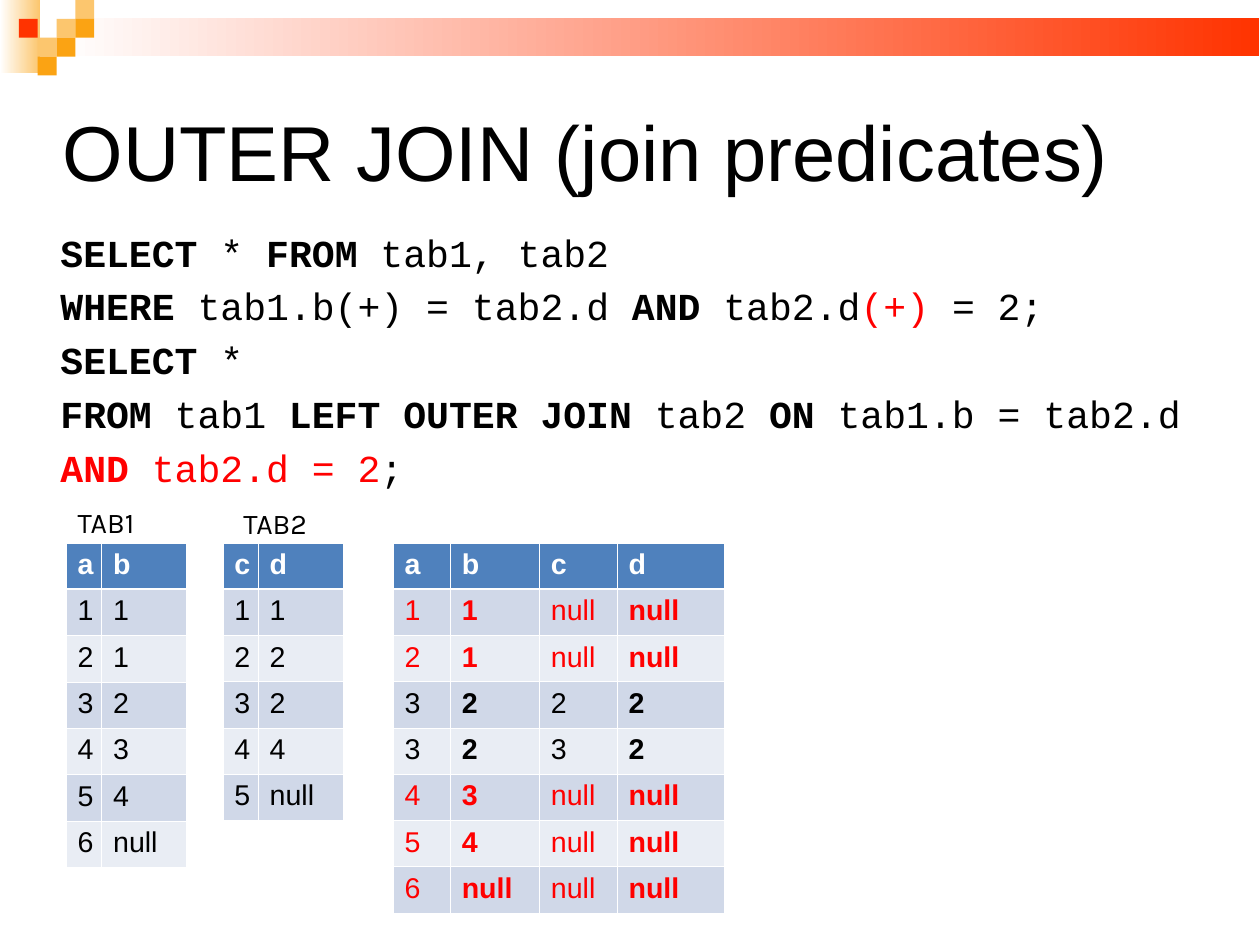
import pptx
import pptx.dml.color
import pptx.enum.shapes
import pptx.enum.text
import pptx.oxml
import pptx.oxml.ns
import pptx.util
from dataclasses import dataclass

Inches = pptx.util.Inches
Pt = pptx.util.Pt
ANCHOR = pptx.enum.text.MSO_ANCHOR
AUTO_SIZE = pptx.enum.text.MSO_AUTO_SIZE
ALIGN = pptx.enum.text.PP_ALIGN
RECT = pptx.enum.shapes.MSO_SHAPE.RECTANGLE


@dataclass(frozen=True)
class Theme:
    text: str = "000000"
    white: str = "FFFFFF"
    mark: str = "FF0000"
    red: str = "FF3300"
    light: str = "FCC66E"
    orange: str = "FBA313"
    header: str = "4F81BD"
    bands: tuple = ("D0D8E8", "E9EDF4")
    sans: str = "Arial"
    mono: str = "Courier New"
    label: str = "Karla"
    title_size: int = 49
    code_size: int = 24
    table_size: int = 18
    thin: float = 0.45
    thick: float = 1.47


THEME = Theme()

# Each code line is a list of (text, style): b is bold, r is red
CODE = [
    [("SELECT ", "b"), ("* ", ""), ("FROM ", "b"), ("tab1, tab2", "")],
    [("WHERE", "b"), (" tab1.b(+) = tab2.d ", ""), ("AND", "b"),
     (" tab2.d", ""), ("(+)", "r"), (" = 2;", "")],
    [("SELECT ", "b"), ("*", "")],
    [("FROM ", "b"), ("tab1 ", ""), ("LEFT OUTER JOIN", "b"), (" tab2 ", ""),
     ("ON ", "b"), ("tab1.b = tab2.d", "")],
    [("AND ", "br"), ("tab2.d = 2", "r"), (";", "")],
]

TAB1 = ["a b", "1 1", "2 1", "3 2", "4 3", "5 4", "6 null"]
TAB2 = ["c d", "1 1", "2 2", "3 2", "4 4", "5 null"]
JOINED = ["a b c d", "1 1 null null", "2 1 null null", "3 2 2 2", "3 2 3 2",
          "4 3 null null", "5 4 null null", "6 null null null"]

# Column, row and colour of each corner square
SQUARES = [(3, 1, THEME.light), (4, 0, THEME.light), (4, 1, THEME.orange),
           (2, 2, THEME.light), (1, 1, THEME.red), (3, 2, THEME.orange),
           (2, 3, THEME.orange)]


def rgb(color):
    return pptx.dml.color.RGBColor.from_string(color)


def apply(target, fmt):
    for name, value in fmt.items():
        setattr(target, name, value)


def add_run(p, text, face, size, color=THEME.text, bold=False):
    r = p.add_run()
    r.text = text
    apply(r.font, {"name": face, "size": Pt(size), "bold": bold})
    r.font.color.rgb = rgb(color)


def add_rect(shapes, box, *colors):
    """One colour gives a solid fill, two give a fade from right to left."""
    sp = shapes.add_shape(RECT, *box)
    sp.shadow.inherit = False
    sp.line.fill.background()
    if len(colors) == 1:
        sp.fill.solid()
        sp.fill.fore_color.rgb = rgb(colors[0])
        return
    sp.fill.gradient()
    sp.fill.gradient_angle = 180
    for stop, color in zip(sp.fill.gradient_stops, colors):
        stop.color.rgb = rgb(color)


def add_banner(s):
    shapes = s.shapes.add_group_shape().shapes
    add_rect(shapes, (0, 0, Inches(0.35), Inches(0.64)), THEME.light, THEME.white)
    add_rect(shapes, (Inches(0.5), Inches(0.16), Inches(10.52), Inches(0.33)),
             THEME.red, THEME.white)
    side = Inches(0.66) // 4
    for col, row, color in SQUARES:
        add_rect(shapes, (col * side, row * side, side, side), color)


def set_title(s, text):
    sp = s.shapes.title
    apply(sp, {"left": Inches(0.55), "top": Inches(0.55),
               "width": Inches(9.92), "height": Inches(1.65)})
    tf = sp.text_frame
    apply(tf, {"margin_left": 0, "margin_top": 0, "margin_right": 0,
               "margin_bottom": 0, "vertical_anchor": ANCHOR.MIDDLE,
               "auto_size": AUTO_SIZE.NONE, "word_wrap": True})
    p = tf.paragraphs[0]
    apply(p, {"alignment": ALIGN.LEFT, "line_spacing": 0.87})
    add_run(p, text, THEME.sans, THEME.title_size)


def add_code(s, lines):
    tf = s.shapes.add_textbox(Inches(0.43), Inches(2.01),
                              Inches(10.28), Inches(5.11)).text_frame
    tf.word_wrap = True
    hang = Inches(0.37)
    for i, line in enumerate(lines):
        p = tf.add_paragraph() if i else tf.paragraphs[0]
        apply(p, {"line_spacing": 0.87, "space_before": Pt(8.8 if i else 0)})
        pPr = p._p.get_or_add_pPr()
        pPr.set("marL", str(hang))
        pPr.set("indent", str(-hang))
        for text, style in line:
            add_run(p, text, THEME.mono, THEME.code_size,
                    THEME.mark if "r" in style else THEME.text, "b" in style)


def add_label(s, text, left, top):
    tf = s.shapes.add_textbox(Inches(left), Inches(top),
                              Inches(0.85), Inches(0.4)).text_frame
    apply(tf, {"word_wrap": False, "auto_size": AUTO_SIZE.SHAPE_TO_FIT_TEXT})
    add_run(tf.paragraphs[0], text, THEME.label, THEME.table_size)


def set_borders(cell, row):
    """White hairlines, with a thicker rule under the header."""
    thick_side = {0: "B", 1: "T"}.get(row)
    for side in "LRTB":
        width = Pt(THEME.thick if side == thick_side else THEME.thin)
        cell._tc.get_or_add_tcPr().append(pptx.oxml.parse_xml(
            f'<a:ln{side} {pptx.oxml.ns.nsdecls("a")} w="{width}"><a:solidFill>'
            f'<a:srgbClr val="{THEME.white}"/></a:solidFill></a:ln{side}>'))


def add_grid(s, left, height, widths, lines, bold_cols=(), mark_nulls=False):
    rows = [line.split() for line in lines]
    table = s.shapes.add_table(len(rows), len(widths), Inches(left), Inches(4.75),
                               Inches(sum(widths)), Inches(height)).table
    apply(table, {"first_row": False, "horz_banding": False})
    for column, width in zip(table.columns, widths):
        column.width = Inches(width)
    for i, row in enumerate(rows):
        color = THEME.mark if mark_nulls and "null" in row else THEME.text
        for j, value in enumerate(row):
            cell = table.cell(i, j)
            set_borders(cell, i)
            cell.fill.solid()
            cell.fill.fore_color.rgb = rgb(THEME.bands[(i - 1) % 2] if i else THEME.header)
            add_run(cell.text_frame.paragraphs[0], value, THEME.sans,
                    THEME.table_size, color if i else THEME.white,
                    i == 0 or j in bold_cols)


def main():
    prs = pptx.Presentation()
    prs.slide_width = Pt(793.75)
    prs.slide_height = Pt(595.25)
    s = prs.slides.add_slide(prs.slide_layouts[5])

    # Banner, title and query
    add_banner(s)
    set_title(s, "OUTER JOIN (join predicates)")
    add_code(s, CODE)

    # Source tables and the join result
    add_grid(s, 0.58, 2.84, (0.31, 0.74), TAB1)
    add_grid(s, 1.95, 2.43, (0.31, 0.74), TAB2)
    add_grid(s, 3.44, 3.24, (0.5, 0.78, 0.68, 0.94), JOINED,
             bold_cols=(1, 3), mark_nulls=True)
    add_label(s, "TAB1", 0.58, 4.37)
    add_label(s, "TAB2", 2.03, 4.38)

    prs.save("out.pptx")


if __name__ == "__main__":
    main()
